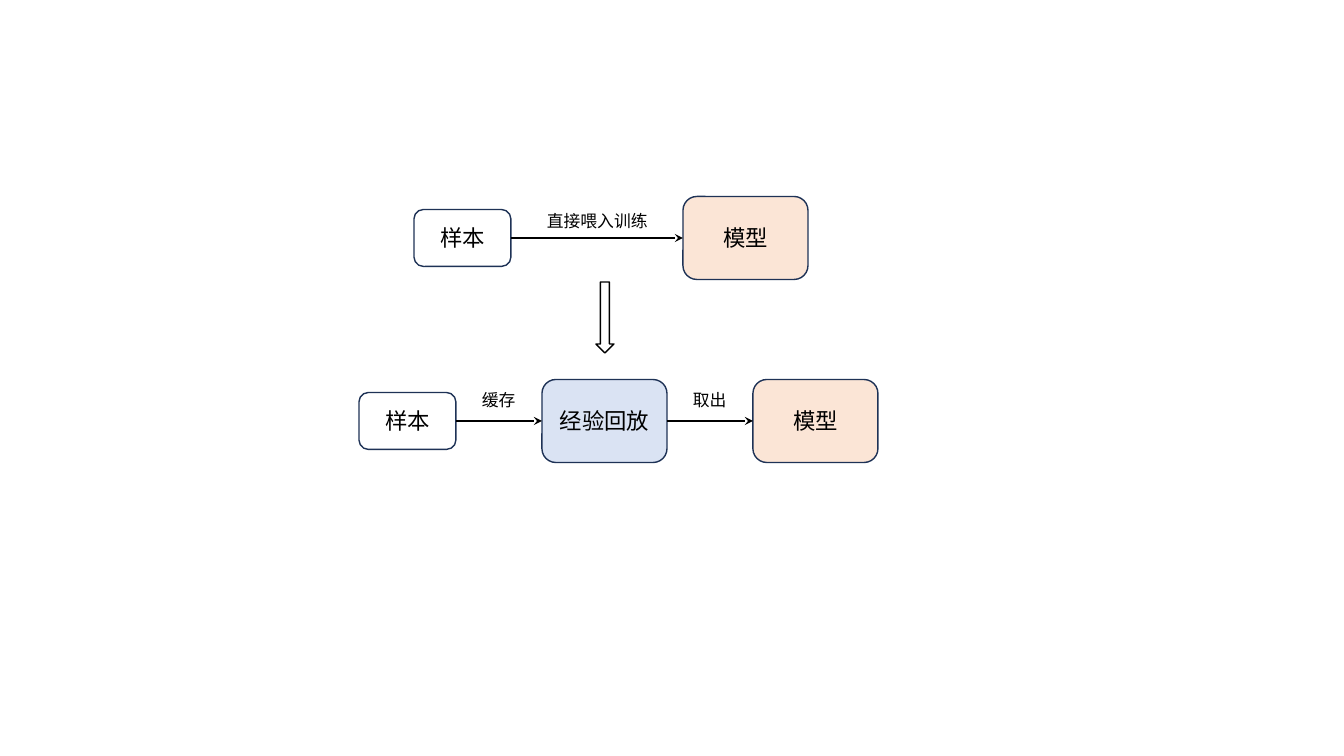
import pptx
import pptx.util
import pptx.dml.color
import pptx.enum.shapes
import pptx.enum.text
import pptx.oxml.ns
import lxml.etree

PX = 914400 / 100.8
COLORS = {"white": "FFFFFF", "black": "000000", "navy": "1E3256",
          "blue": "DAE3F3", "peach": "FBE5D6"}
CJK = "Noto Sans CJK SC"
SHAPE = pptx.enum.shapes.MSO_SHAPE
QN = pptx.oxml.ns.qn


def px(*values):
    """Turn pixels into EMU lengths."""
    return [pptx.util.Emu(round(v * PX)) for v in values]


def write(sp, text, font, size, **frame):
    """Put one formatted line of text in a shape."""
    tf = sp.text_frame
    for name, value in frame.items():
        setattr(tf, name, value)
    r = tf.paragraphs[0].add_run()
    r.text = text
    for name, value in {"name": font, "size": pptx.util.Pt(size)}.items():
        setattr(r.font, name, value)
    r.font.color.rgb = pptx.dml.color.RGBColor.from_string(COLORS["black"])
    ea = lxml.etree.SubElement(r.font._element, QN("a:ea"))
    ea.set("typeface", CJK)


prs = pptx.Presentation()
prs.slide_width, prs.slide_height = px(1344, 756)
shapes = prs.slides.add_slide(prs.slide_layouts[6]).shapes

TOP, BOTTOM = 238, 421  # centre lines of the two flows
SMALL, LARGE = (97, 57), (125, 83)
boxes = [
    ("样本", 414, TOP, SMALL, "white"),
    ("模型", 683, TOP, LARGE, "peach"),
    ("样本", 359, BOTTOM, SMALL, "white"),
    ("经验回放", 542, BOTTOM, LARGE, "blue"),
    ("模型", 753, BOTTOM, LARGE, "peach"),
]
outlined = []
for text, left, middle, (width, height), fill in boxes:
    sp = shapes.add_shape(SHAPE.ROUNDED_RECTANGLE,
                          *px(left, middle - height / 2, width, height))
    write(sp, text, "Times New Roman", 16,
          vertical_anchor=pptx.enum.text.MSO_ANCHOR.MIDDLE)
    sp.text_frame.paragraphs[0].alignment = pptx.enum.text.PP_ALIGN.CENTER
    outlined.append((sp, fill, "navy"))

down = shapes.add_shape(SHAPE.DOWN_ARROW, *px(596, 282, 18, 71))
outlined.append((down, "white", "black"))
for sp, fill, line in outlined:
    sp.shadow.inherit = False
    sp.fill.solid()
    sp.fill.fore_color.rgb = pptx.dml.color.RGBColor.from_string(COLORS[fill])
    sp.line.color.rgb = pptx.dml.color.RGBColor.from_string(COLORS[line])
    sp.line.width = pptx.util.Pt(1)

arrows = [(511, 683, TOP), (456, 542, BOTTOM), (667, 753, BOTTOM)]
for start, end, y in arrows:
    cn = shapes.add_connector(pptx.enum.shapes.MSO_CONNECTOR.STRAIGHT,
                              *px(start, y, end, y))
    cn.line.color.rgb = pptx.dml.color.RGBColor.from_string(COLORS["black"])
    cn.line.width = pptx.util.Pt(1)
    tail = lxml.etree.SubElement(cn.line._get_or_add_ln(), QN("a:tailEnd"))
    tail.set("type", "stealth")
    lxml.etree.SubElement(cn._element.spPr, QN("a:effectLst"))

labels = [("直接喂入训练", 537, 206, 122), ("缓存", 472, 385, 54),
          ("取出", 683, 385, 54)]
for text, left, top, width in labels:
    sp = shapes.add_textbox(*px(left, top, width, 30))
    write(sp, text, CJK, 12, word_wrap=False,
          auto_size=pptx.enum.text.MSO_AUTO_SIZE.SHAPE_TO_FIT_TEXT)

prs.save("out.pptx")
